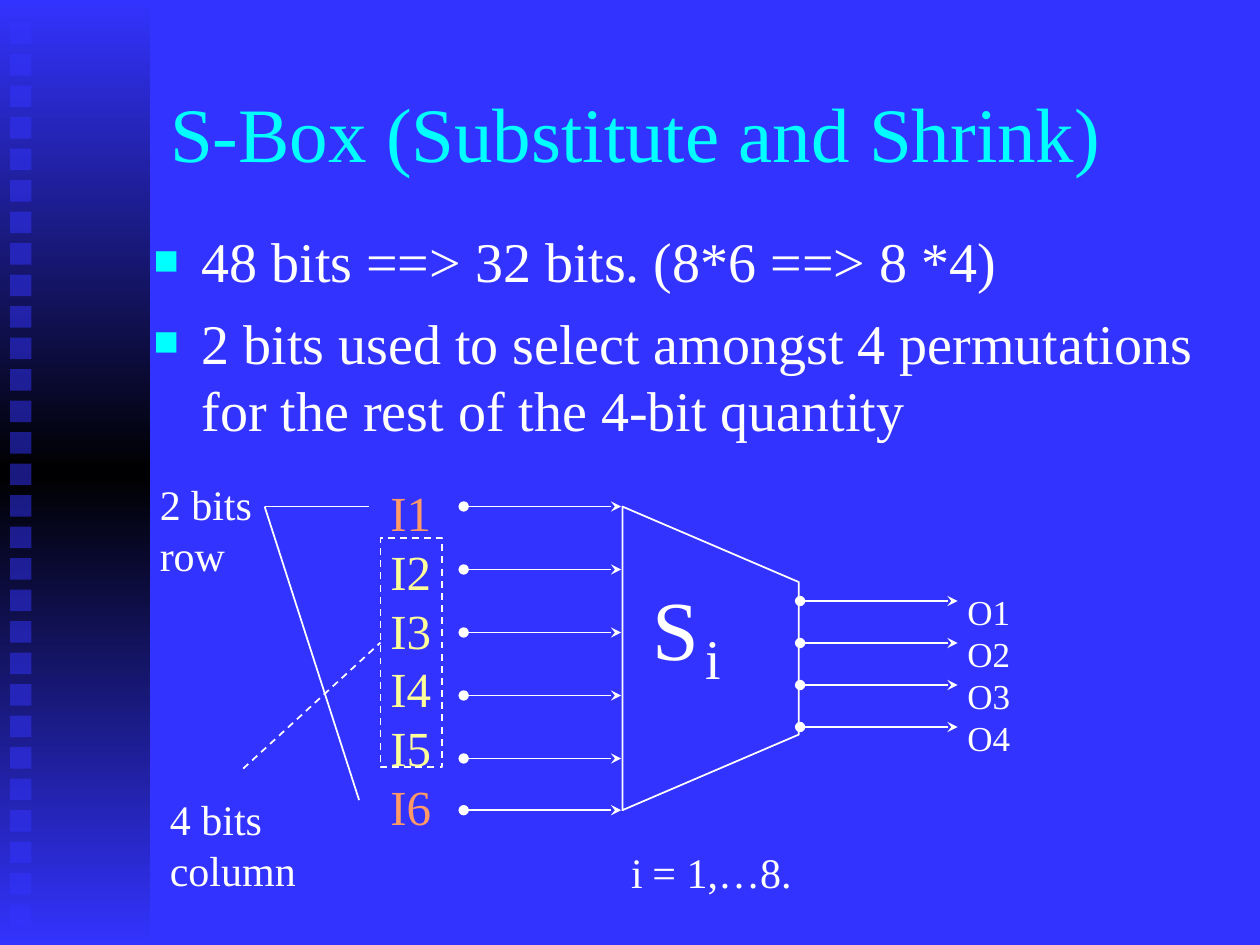
import copy

import pptx
import pptx.dml.color
import pptx.enum.dml
import pptx.enum.shapes
import pptx.enum.text
import pptx.oxml
import pptx.oxml.ns
import pptx.util
from pptx.util import Inches

BLUE = pptx.dml.color.RGBColor(0x33, 0x33, 0xFF)
BLACK = pptx.dml.color.RGBColor(0, 0, 0)
CYAN = pptx.dml.color.RGBColor(0, 0xFF, 0xFF)
WHITE = pptx.dml.color.RGBColor(0xFF, 0xFF, 0xFF)
ORANGE = pptx.dml.color.RGBColor(0xFF, 0x99, 0x66)
YELLOW = pptx.dml.color.RGBColor(0xFF, 0xFF, 0x99)
FONT = "Times New Roman"
RECTANGLE = pptx.enum.shapes.MSO_SHAPE.RECTANGLE
DASH = pptx.enum.dml.MSO_LINE.DASH
NS = pptx.oxml.ns.nsdecls("a")
qn = pptx.oxml.ns.qn


def write(frame, text, size=24, color=WHITE, bullet=None, gap=0, wrap=False):
    """Fill a text frame, one paragraph for each line of text."""
    frame.word_wrap = wrap
    frame.auto_size = pptx.enum.text.MSO_AUTO_SIZE.NONE
    frame.text = text
    for number, paragraph in enumerate(frame.paragraphs):
        if bullet:
            properties = paragraph._p.get_or_add_pPr()
            properties.set("marL", str(Inches(0.38)))
            properties.set("indent", str(Inches(-0.38)))
            for xml in (
                f'<a:buClr {NS}><a:srgbClr val="{CYAN}"/></a:buClr>',
                f'<a:buSzPct {NS} val="75000"/>',
                f'<a:buFont {NS} typeface="{FONT}"/>',
                f'<a:buChar {NS} char="{bullet}"/>',
            ):
                properties.append(pptx.oxml.parse_xml(xml))
        paragraph.alignment = pptx.enum.text.PP_ALIGN.LEFT
        paragraph.space_before = pptx.util.Pt(gap if number else 0)
        for run in paragraph.runs:
            run.font.name = FONT
            run.font.size = pptx.util.Pt(size)
            run.font.color.rgb = color


def connect(x1, y1, x2, y2, dashed=False, arrow=False):
    wire = slide.shapes.add_connector(
        pptx.enum.shapes.MSO_CONNECTOR.STRAIGHT,
        Inches(x1), Inches(y1), Inches(x2), Inches(y2))
    wire.line.color.rgb = WHITE
    wire.line.width = pptx.util.Pt(1)
    if dashed:
        wire.line.dash_style = DASH
    if arrow:
        for end, kind in (("headEnd", "oval"), ("tailEnd", "stealth")):
            wire.line._get_or_add_ln().append(
                pptx.oxml.parse_xml(f'<a:{end} {NS} type="{kind}"/>'))
    wire._element.spPr.append(pptx.oxml.parse_xml(f"<a:effectLst {NS}/>"))


presentation = pptx.Presentation()
presentation.slide_width = Inches(10)
presentation.slide_height = Inches(7.5)
slide = presentation.slides.add_slide(presentation.slide_layouts[1])
slide.background.fill.solid()
slide.background.fill.fore_color.rgb = BLUE

# Side band with its column of squares
band = slide.shapes.add_shape(RECTANGLE, 0, 0, Inches(1.19), Inches(7.5))
band.shadow.inherit = False
band.line.fill.background()
band.fill.gradient()
band.fill.gradient_angle = 90
stop_list = band._element.spPr.find(".//" + qn("a:gsLst"))
stop_list.append(copy.deepcopy(stop_list[0]))
for stop, position, color in zip(
        band.fill.gradient_stops, (0, 0.5, 1), (BLUE, BLACK, BLUE)):
    stop.position = position
    stop.color.rgb = color

for row in range(29):
    square = slide.shapes.add_shape(
        RECTANGLE, Inches(0.08), Inches(0.18 + 0.25 * row), Inches(0.17), Inches(0.17))
    square.shadow.inherit = False
    square.line.fill.background()
    square.fill.solid()
    square.fill.fore_color.rgb = BLUE
    square._element.spPr.find(".//" + qn("a:srgbClr")).append(
        pptx.oxml.parse_xml(f'<a:alpha {NS} val="50000"/>'))

# Title and bullets
title = slide.shapes.title
title.left, title.top = Inches(1.25), Inches(0.42)
title.width, title.height = Inches(8.5), Inches(1.25)
title.text_frame.vertical_anchor = pptx.enum.text.MSO_ANCHOR.MIDDLE
write(title.text_frame, "S-Box (Substitute and Shrink)", size=44, color=CYAN, wrap=True)

body = slide.placeholders[1]
body.left, body.top = Inches(1.12), Inches(1.75)
body.width, body.height = Inches(8.63), Inches(4.5)
write(body.text_frame,
      "48 bits ==> 32 bits. (8*6 ==> 8 *4)\n"
      "2 bits used to select amongst 4 permutations for the rest of the 4-bit quantity",
      size=32, bullet="■", gap=8, wrap=True)

# S-box outline
outline = slide.shapes.build_freeform(Inches(4.94), Inches(4.02))
outline.add_line_segments(
    [(Inches(x), Inches(y)) for x, y in ((4.94, 6.43), (6.34, 5.83), (6.34, 4.62))])
s_box = outline.convert_to_shape()

middle_bits = slide.shapes.add_shape(
    RECTANGLE, Inches(3.02), Inches(4.27), Inches(0.49), Inches(1.82))
middle_bits.line.dash_style = DASH
for frame in (s_box, middle_bits):
    frame.shadow.inherit = False
    frame.fill.background()
    frame.line.color.rgb = WHITE
    frame.line.width = pptx.util.Pt(1)

# Inputs, outputs and the row and column pointers
for y in (4.02, 4.52, 5.02, 5.52, 6.02, 6.43):
    connect(3.68, y, 4.93, y, arrow=True)
for output in range(4):
    y = 4.77 + output / 3
    connect(6.35, y, 7.6, y, arrow=True)
connect(2.1, 4.02, 2.93, 4.02)
connect(2.1, 4.02, 2.85, 6.35)
connect(1.93, 6.1, 3.02, 5.1, dashed=True)

# Labels
for text, left, top, width, height, size, color in (
    ("2 bits\nrow", 1.17, 3.75, 0.93, 0.9, 24, WHITE),
    ("4 bits\ncolumn", 1.25, 6.25, 1.2, 0.9, 24, WHITE),
    ("S", 5.08, 4.53, 0.57, 0.9, 48, WHITE),
    ("i", 5.5, 4.9, 0.33, 0.63, 32, WHITE),
    ("i", 4.91, 6.67, 0.29, 0.5, 24, WHITE),
    ("= 1,…8.", 5.08, 6.67, 1.31, 0.5, 24, WHITE),
    ("O1\nO2\nO3\nO4", 7.58, 4.64, 0.54, 1.44, 20, WHITE),
    ("I1\nI2\nI3\nI4\nI5\nI6", 3, 3.78, 0.53, 2.9, 28, YELLOW),
):
    label = slide.shapes.add_textbox(
        Inches(left), Inches(top), Inches(width), Inches(height))
    write(label.text_frame, text, size=size, color=color)
    for paragraph in label.text_frame.paragraphs:
        if paragraph.text in ("I1", "I6"):
            paragraph.runs[0].font.color.rgb = ORANGE

# Title and body lie in front of the side band
band_place = slide.shapes._spTree.index(title._element)
for shape in (body, title):
    slide.shapes._spTree.remove(shape._element)
    slide.shapes._spTree.insert(band_place + 30, shape._element)

presentation.save("out.pptx")
